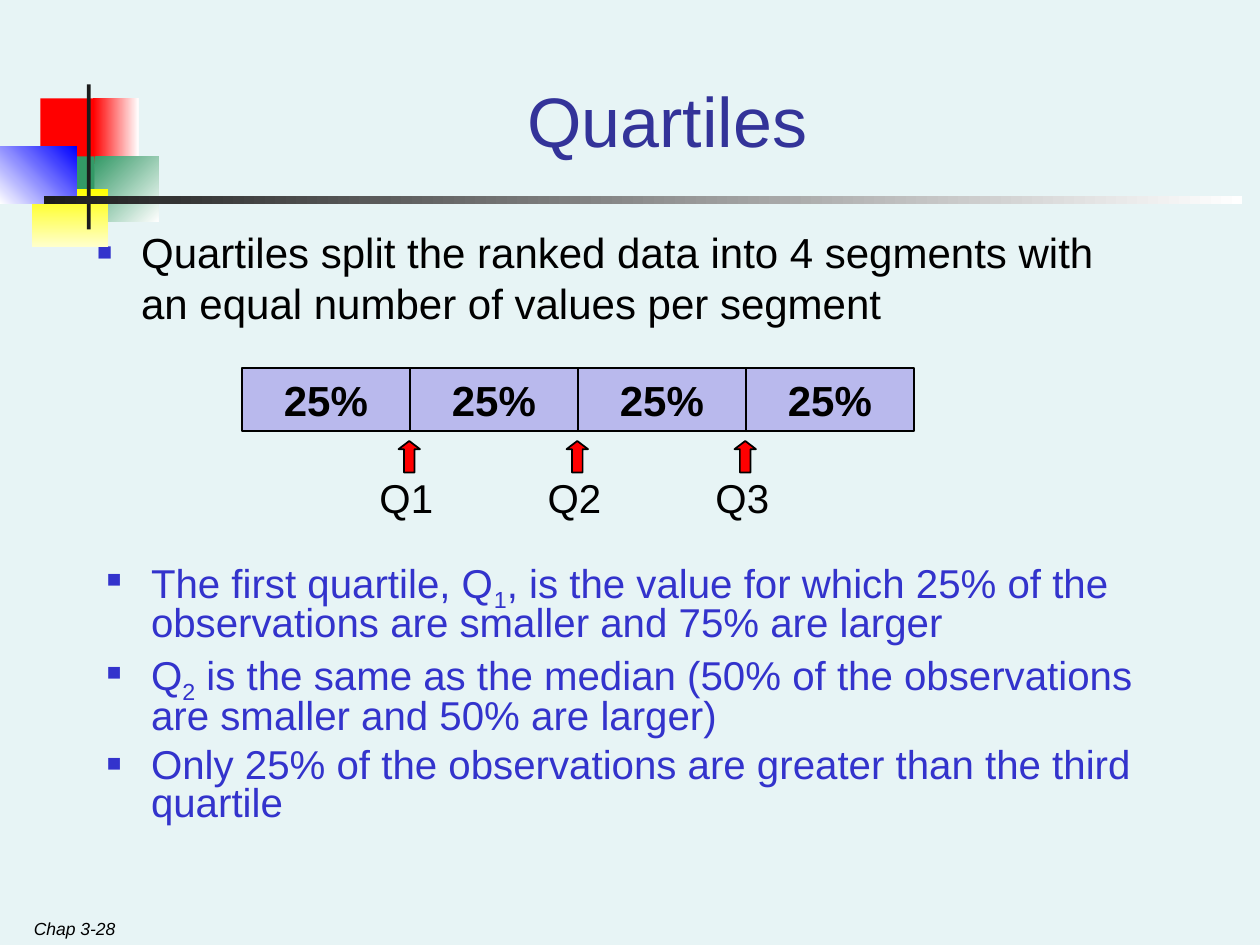
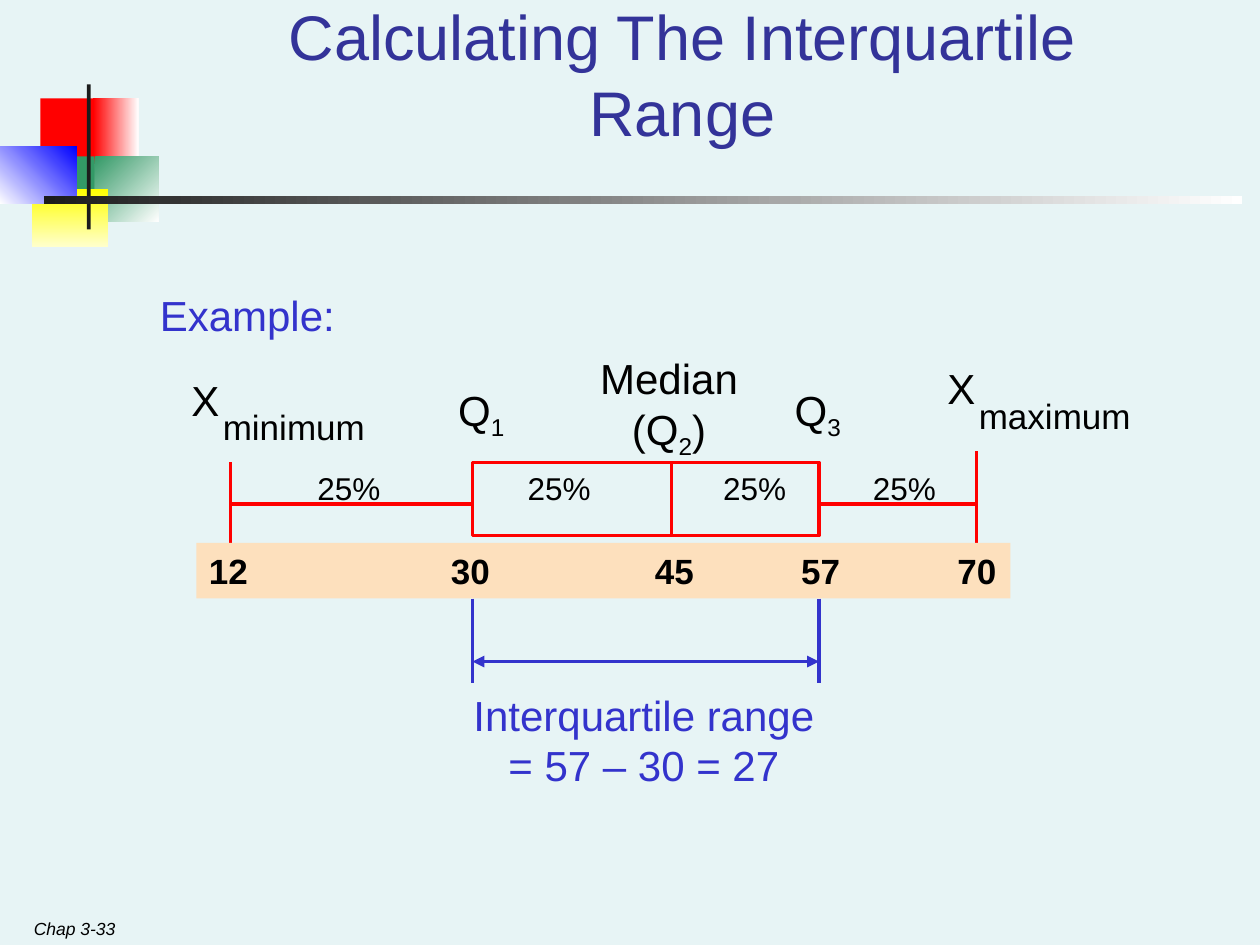
"""Build two statistics slides on quartiles and the interquartile range."""
from dataclasses import dataclass

from lxml import etree
from pptx import Presentation
from pptx.dml.color import RGBColor
from pptx.enum.shapes import MSO_CONNECTOR, MSO_SHAPE
from pptx.enum.text import MSO_ANCHOR, MSO_AUTO_SIZE, PP_ALIGN
from pptx.oxml.ns import qn
from pptx.util import Inches, Pt

RECTANGLE = MSO_SHAPE.RECTANGLE
UP_ARROW = MSO_SHAPE.UP_ARROW
STRAIGHT = MSO_CONNECTOR.STRAIGHT
LEFT, CENTER = PP_ALIGN.LEFT, PP_ALIGN.CENTER
TOP, MIDDLE, BOTTOM = MSO_ANCHOR.TOP, MSO_ANCHOR.MIDDLE, MSO_ANCHOR.BOTTOM
NO_AUTOFIT = MSO_AUTO_SIZE.NONE
TITLE_AND_CONTENT, TITLE_ONLY = 1, 5


@dataclass(frozen=True)
class Theme:
    """Colours, font and type sizes shared by the slides."""
    font: str = "Arial"
    background: str = "E7F4F5"
    title: str = "333399"
    accent: str = "3333CC"
    text: str = "000000"
    segment: str = "B9B9ED"
    strip: str = "FDE0BD"
    red: str = "FF0000"
    green: str = "339966"
    yellow: str = "FFFF00"
    pale_yellow: str = "FFFFCC"
    blue: str = "0000FF"
    dark: str = "1C1C1C"
    white: str = "FFFFFF"
    title_size: float = 40
    long_title_size: float = 36
    body_size: float = 24
    list_size: float = 23
    value_size: float = 20
    percent_size: float = 18
    footer_size: float = 10


THEME = Theme()

EMBLEM = [
    ((0.32, 0.78, 0.48, 0.52), THEME.red, None, 0),
    ((0.74, 0.78, 0.36, 0.52), THEME.red, THEME.white, 0),
    ((0.75, 1.24, 0.51, 0.52), THEME.green, THEME.white, 45),
    ((0.43, 1.24, 0.32, 0.52), THEME.green, None, 0),
    ((0.25, 1.5, 0.61, 0.46), THEME.yellow, THEME.pale_yellow, 90),
    ((0, 1.16, 0.61, 0.46), THEME.white, THEME.blue, 315),
    ((0.69, 0.67, 0.03, 1.15), THEME.dark, None, 0),
    ((0.35, 1.56, 9.51, 0.06), THEME.dark, THEME.white, 0),
]


def rgb(color):
    """Return the colour object of a hex code."""
    return RGBColor.from_string(color)


class SlideBuilder:
    """Hold the style and the current slide, and draw each kind of element."""

    def __init__(self, theme):
        """Open a presentation with the shared background."""
        self.theme = theme
        self.presentation = Presentation()
        self.presentation.slide_width = Inches(10)
        self.presentation.slide_height = Inches(7.5)
        fill = self.presentation.slide_master.background.fill
        fill.solid()
        fill.fore_color.rgb = rgb(theme.background)
        self.slide = None

    def start_slide(self, layout, title, title_box, title_size, footer):
        """Add a slide with its emblem, title and footer."""
        layouts = self.presentation.slide_layouts
        self.slide = self.presentation.slides.add_slide(layouts[layout])
        for box, color, end_color, angle in EMBLEM:
            self.shape(box, color, end_color=end_color, angle=angle)
        self.placeholder(0, title_box, [title], size=title_size,
                         color=self.theme.title, align=CENTER, anchor=BOTTOM)
        self.text((0.17, 7.15, 5.08, 0.35), [footer], anchor=BOTTOM,
                  size=self.theme.footer_size, italic=True)

    def shape(self, box, color=None, line=None, line_width=1, kind=RECTANGLE,
              end_color=None, angle=0):
        """Add a preset shape with a plain, gradient or empty fill."""
        shape = self.slide.shapes.add_shape(kind, *map(Inches, box))
        shape.shadow.inherit = False
        if end_color:
            shape.fill.gradient()
            shape.fill.gradient_angle = -angle % 360
            for stop, stop_color in zip(shape.fill.gradient_stops, (color, end_color)):
                stop.color.rgb = rgb(stop_color)
        elif color:
            shape.fill.solid()
            shape.fill.fore_color.rgb = rgb(color)
        else:
            shape.fill.background()
        if line:
            shape.line.color.rgb = rgb(line)
            shape.line.width = Pt(line_width)
        else:
            shape.line.fill.background()
        return shape

    def line(self, start, end, color, width=2, arrows=False):
        """Add a straight line, with arrowheads at both ends if asked."""
        points = map(Inches, (*start, *end))
        connector = self.slide.shapes.add_connector(STRAIGHT, *points)
        connector.line.color.rgb = rgb(color)
        connector.line.width = Pt(width)
        etree.SubElement(connector._element.spPr, qn("a:effectLst"))
        if arrows:
            outline = connector.line._get_or_add_ln()
            for end_name in ("a:headEnd", "a:tailEnd"):
                etree.SubElement(outline, qn(end_name), type="triangle")

    def text(self, box, lines, **style):
        """Add a text box."""
        shape = self.slide.shapes.add_textbox(*map(Inches, box))
        self.fill_text(shape, lines, **style)

    def placeholder(self, index, box, lines, **style):
        """Move and fill a placeholder of the layout."""
        shape = self.slide.placeholders[index]
        shape.left, shape.top, shape.width, shape.height = map(Inches, box)
        self.fill_text(shape, lines, **style)

    def fill_text(self, shape, lines, size=None, color=None, bold=False, italic=False,
                  align=LEFT, anchor=TOP, bullets=False, spacing=1.0, before=0, tabs=()):
        """Fill in paragraphs in which text between underscores is subscript."""
        frame = shape.text_frame
        frame.word_wrap = True
        frame.auto_size = NO_AUTOFIT
        frame.vertical_anchor = anchor
        frame.margin_left = frame.margin_right = Inches(0.1)
        frame.margin_top = frame.margin_bottom = Inches(0.05)
        for number, line in enumerate(lines):
            paragraph = frame.add_paragraph() if number else frame.paragraphs[0]
            if bullets:
                self.bullet(paragraph)
            if tabs:
                self.tab_stops(paragraph, tabs)
            paragraph.alignment = align
            paragraph.line_spacing = spacing
            paragraph.space_before = Pt(before if number else 0)
            font = paragraph.font
            font.name = self.theme.font
            font.size = Pt(size or self.theme.body_size)
            font.bold, font.italic = bold, italic
            font.color.rgb = rgb(color or self.theme.text)
            for position, part in enumerate(line.split("_")):
                if part:
                    run = paragraph.add_run()
                    run.text = part
                    if position % 2:
                        run._r.get_or_add_rPr().set("baseline", "-25000")

    def bullet(self, paragraph):
        """Give a paragraph a small square bullet and a hanging indent."""
        properties = paragraph._p.get_or_add_pPr()
        properties.set("marL", str(Inches(0.35)))
        properties.set("indent", str(Inches(-0.35)))
        color = etree.SubElement(properties, qn("a:buClr"))
        etree.SubElement(color, qn("a:srgbClr"), val=self.theme.accent)
        etree.SubElement(properties, qn("a:buSzPct"), val="60000")
        etree.SubElement(properties, qn("a:buFont"), typeface=self.theme.font)
        etree.SubElement(properties, qn("a:buChar"), char="■")

    def tab_stops(self, paragraph, positions):
        """Set left tab stops at the given distances."""
        tab_list = etree.SubElement(paragraph._p.get_or_add_pPr(), qn("a:tabLst"))
        for position in positions:
            etree.SubElement(tab_list, qn("a:tab"), pos=str(Inches(position)), algn="l")


def build_quartiles(builder):
    """Draw the slide that defines the quartiles."""
    theme = builder.theme
    builder.start_slide(TITLE_AND_CONTENT, "Quartiles", (1.26, 0.25, 8.07, 1.08),
                        theme.title_size, "Chap 3-28")
    builder.placeholder(1, (0.67, 1.75, 8.17, 1.04), [
        "Quartiles split the ranked data into 4 segments with "
        "an equal number of values per segment"], bullets=True)

    bar_left, segment_width = 1.92, 4 / 3
    for number in range(4):
        left = bar_left + number * segment_width
        segment = builder.shape((left, 2.92, segment_width, 0.5), theme.segment, theme.text)
        builder.fill_text(segment, ["25%"], bold=True, align=CENTER, anchor=MIDDLE)
        if number:
            arrow = builder.shape((left - 0.09, 3.5, 0.17, 0.25), theme.red, theme.text,
                                  kind=UP_ARROW)
            arrow.adjustments[1] = 0.38
            builder.text((left - 0.34, 3.75, 0.75, 0.5), [f"Q{number}"],
                         size=theme.list_size, spacing=0.9)

    builder.text((0.75, 4.42, 8.75, 2.42), [
        "The first quartile, Q_1_, is the value for which 25% of the "
        "observations are smaller and 75% are larger",
        "Q_2_ is the same as the median (50% of the observations "
        "are smaller and 50% are larger)",
        "Only 25% of the observations are greater than the third quartile",
    ], size=theme.list_size, color=theme.accent, bullets=True, spacing=0.8, before=5.8)


def build_interquartile_range(builder):
    """Draw the slide with the box plot and its interquartile range."""
    theme = builder.theme
    builder.start_slide(TITLE_ONLY, "Calculating The Interquartile Range",
                        (1.5, 0.25, 7.83, 0.98), theme.long_title_size, "Chap 3-33")
    minimum, first, median, third, maximum = 1.83, 3.75, 5.33, 6.5, 7.75
    box_top, box_bottom, whisker, strip_top = 3.67, 4.25, 4, 4.31

    builder.shape((first, box_top, third - first, box_bottom - box_top),
                  line=theme.red, line_width=2)
    for start, end in [
        ((median, box_bottom), (median, box_top)),
        ((minimum, whisker), (first, whisker)),
        ((third, whisker), (maximum, whisker)),
        ((minimum, strip_top), (minimum, box_top)),
        ((maximum, strip_top), (maximum, 3.58)),
    ]:
        builder.line(start, end, theme.red)

    builder.text((1.17, 2.25, 1.8, 0.5), ["Example:"], color=theme.accent)
    for left, top, label in [(1.42, 2.92, "minimum"), (7.42, 2.83, "maximum")]:
        builder.text((left, top, 0.5, 0.5), ["X"])
        builder.text((left + 0.25, top + 0.25, 1.6, 0.43), [label], size=theme.value_size)
    for center, top, lines in [(3.82, 3, ["Q_1_"]), (5.31, 2.75, ["Median", "(Q_2_)"]),
                               (6.49, 3, ["Q_3_"])]:
        builder.text((center - 0.7, top, 1.4, 0.55), lines, align=CENTER)

    builder.text((2.42, 3.67, 5.3, 0.4), ["25%\t25%\t25%\t25%"],
                 size=theme.percent_size, tabs=(1.67, 3.22, 4.41))
    strip = builder.shape((1.56, strip_top, 6.46, 0.44), theme.strip)
    builder.fill_text(strip, ["12\t30\t45\t57\t70"], size=theme.value_size, bold=True,
                      anchor=MIDDLE, tabs=(1.92, 3.54, 4.7, 5.94))

    for quartile in (first, third):
        builder.line((quartile, 4.75), (quartile, 5.42), theme.accent)
    builder.line((first, 5.25), (third, 5.25), theme.accent, width=2.25, arrows=True)
    builder.text((3.65, 5.42, 2.92, 0.9), ["Interquartile range", "= 57 – 30 = 27"],
                 color=theme.accent, align=CENTER)


def main():
    """Build both slides and save the presentation."""
    builder = SlideBuilder(THEME)
    build_quartiles(builder)
    build_interquartile_range(builder)
    builder.presentation.save("out.pptx")


if __name__ == "__main__":
    main()
